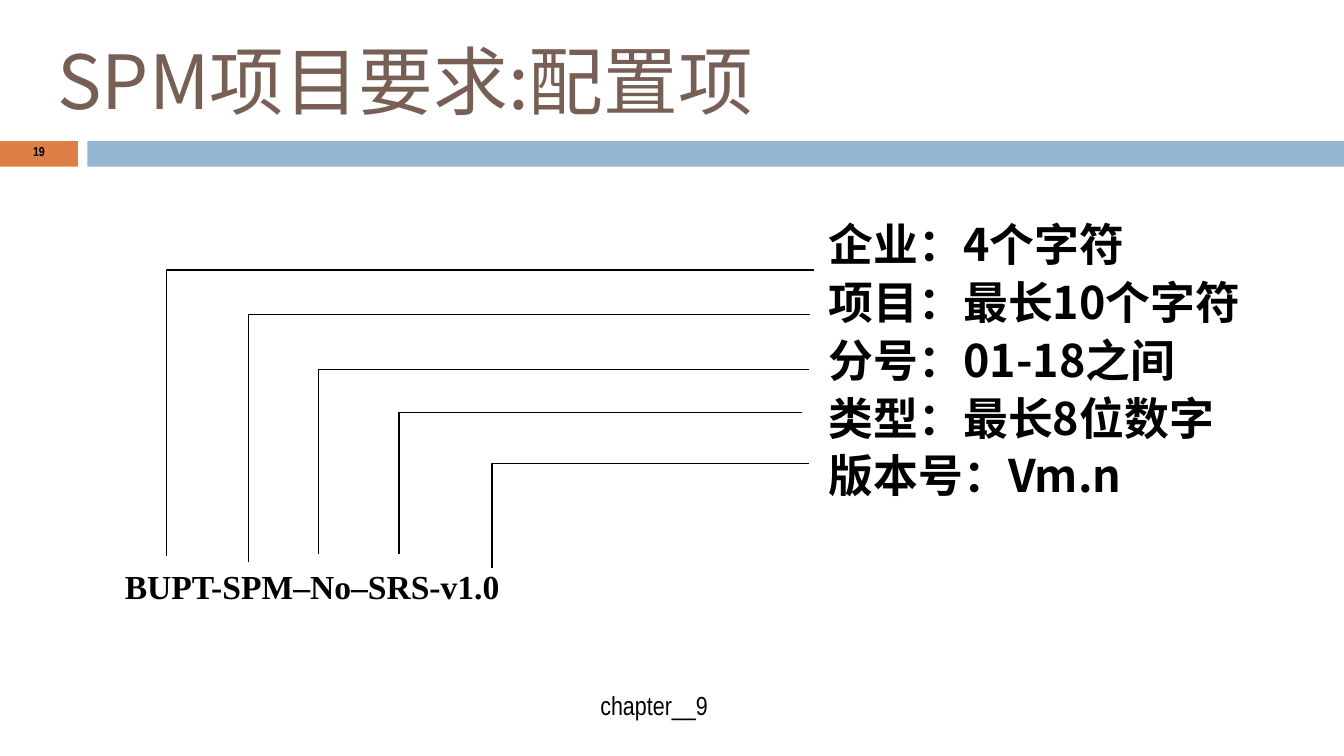
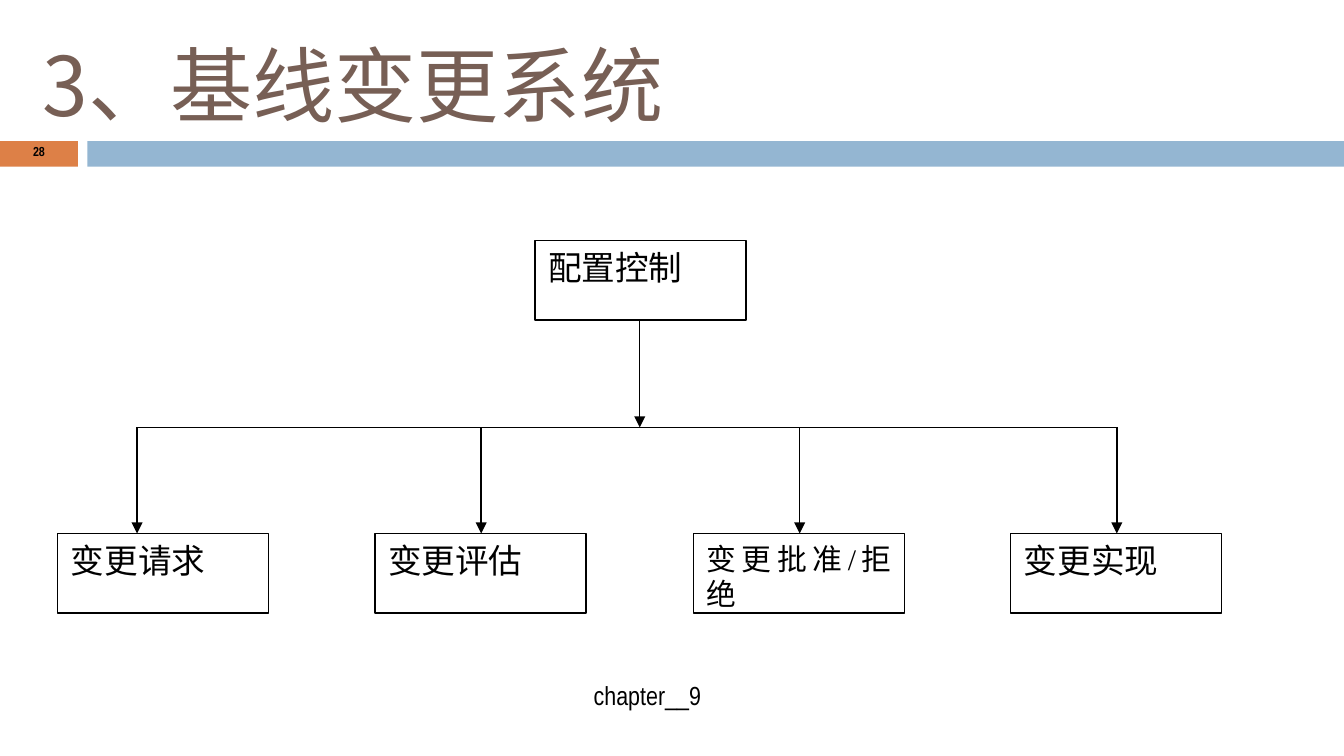
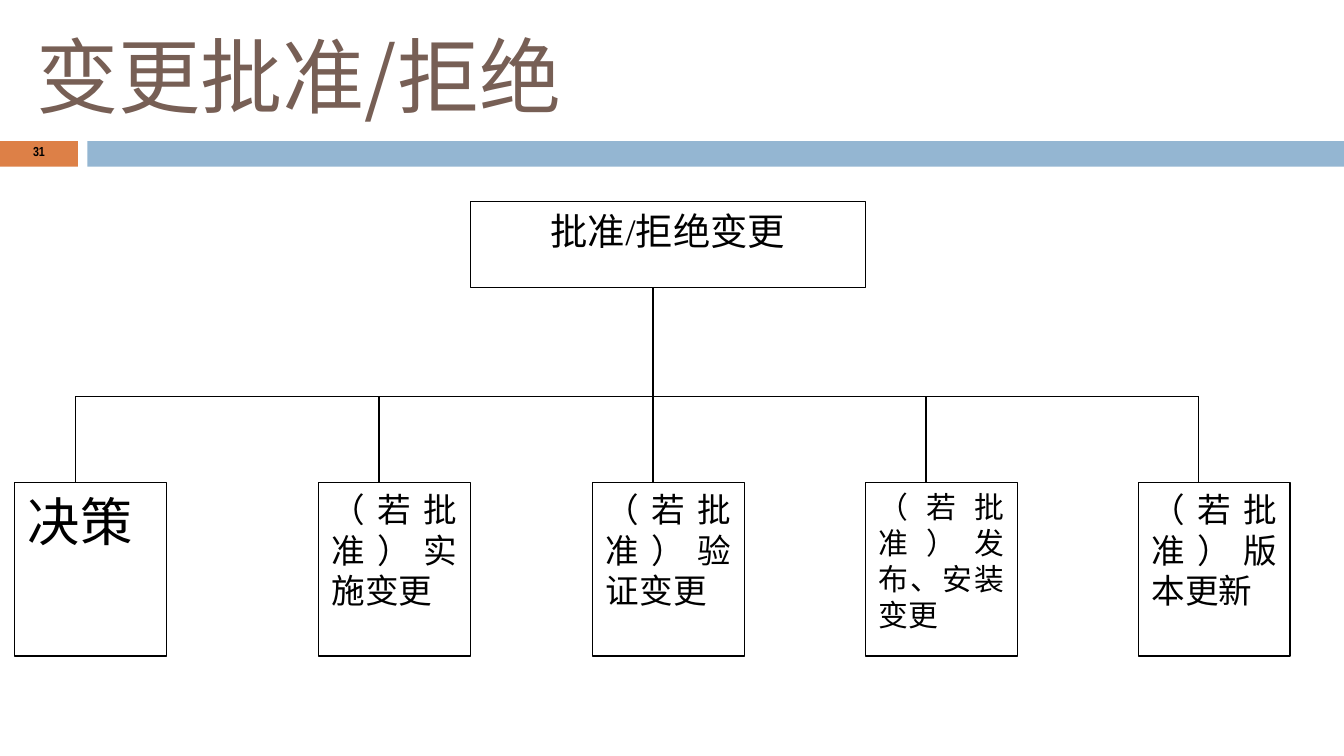
from dataclasses import dataclass

import pptx
import pptx.dml.color
import pptx.enum.shapes
import pptx.enum.text
import pptx.oxml
import pptx.oxml.ns
import pptx.util

Inches = pptx.util.Inches
Pt = pptx.util.Pt
ALIGN = pptx.enum.text.PP_ALIGN
ANCHOR = pptx.enum.text.MSO_ANCHOR

BLACK, WHITE = "000000", "FFFFFF"
ORANGE, BLUE, BROWN = "DD8047", "94B6D2", "775F55"
SANS, SERIF, NARROW = "Noto Sans CJK SC", "Times New Roman", "Arial Narrow"
LINE_WIDTH = 0.75


@dataclass
class Box:
    left: float
    top: float
    width: float
    height: float


@dataclass
class Style:
    font: str
    size: float
    color: str = BLACK
    bold: bool = False
    align: ALIGN = ALIGN.JUSTIFY
    anchor: ANCHOR = ANCHOR.TOP
    line_spacing: float = 1.0
    space_after: float = 0


@dataclass
class Branch:
    left: float
    drop: float
    text: str
    size: float = 18


@dataclass
class Tree:
    root: Box
    root_text: str
    root_style: Style
    trunk: float
    trunk_end: float
    rail: float
    leaf_top: float
    leaf_width: float
    leaf_height: float
    branches: list[Branch]
    arrows: bool


@dataclass
class Bracket:
    """A line that rises from a name part and turns right to its rule."""
    left: float
    bottom: float
    top: float
    right: float


FOOTER = Style(NARROW, 14, align=ALIGN.CENTER, anchor=ANCHOR.MIDDLE)
PAGE_NUMBER = Style(NARROW, 7, bold=True, align=ALIGN.CENTER,
                    anchor=ANCHOR.MIDDLE, line_spacing=0.8)
NAME = Style(SERIF, 18, bold=True)
RULES = Style(SANS, 24, bold=True, line_spacing=1.04, space_after=1)

NAME_RULES = ["企业：4个字符", "项目：最长10个字符", "分号：01-18之间",
              "类型：最长8位数字", "版本号：Vm.n"]
BRACKETS = [
    Bracket(1.24, 4.14, 2.01, 6.06),
    Bracket(1.85, 4.18, 2.34, 6.03),
    Bracket(2.97, 4.12, 3.07, 5.97),
    Bracket(3.66, 4.23, 3.45, 6.02),
    Bracket(2.37, 4.12, 2.75, 6.02),
]
CHANGE_SYSTEM = Tree(
    Box(3.98, 1.79, 1.57, 0.59), "配置控制", Style(SERIF, 18),
    trunk=4.76, trunk_end=3.18, rail=3.18,
    leaf_top=3.97, leaf_width=1.57, leaf_height=0.59,
    branches=[
        Branch(0.43, 1.02, "变更请求"),
        Branch(2.79, 3.58, "变更评估"),
        Branch(5.16, 5.95, "变更批准/拒绝", 16),
        Branch(7.52, 8.31, "变更实现"),
    ],
    arrows=True,
)
APPROVAL = Tree(
    Box(3.5, 1.5, 2.94, 0.64), "批准/拒绝变更", Style(SERIF, 20, align=ALIGN.CENTER),
    trunk=4.86, trunk_end=3.59, rail=2.95,
    leaf_top=3.59, leaf_width=1.13, leaf_height=1.29,
    branches=[
        Branch(0.11, 0.56, "决策", 28),
        Branch(2.37, 2.82, "（若批准）实施变更"),
        Branch(4.41, 4.86, "（若批准）验证变更"),
        Branch(6.44, 6.89, "（若批准）发布、安装变更", 16),
        Branch(8.47, 8.92, "（若批准）版本更新"),
    ],
    arrows=False,
)


def rgb(color: str):
    return pptx.dml.color.RGBColor.from_string(color)


def set_attributes(target, values: dict) -> None:
    for name, value in values.items():
        setattr(target, name, value)


def set_line(line) -> None:
    line.color.rgb = rgb(BLACK)
    line.width = Pt(LINE_WIDTH)


def write(sp, lines: list[str], style: Style) -> None:
    """Fill a shape with one paragraph a line, without hanging punctuation."""
    tf = sp.text_frame
    set_attributes(tf, {
        "word_wrap": True, "vertical_anchor": style.anchor,
        "margin_left": Inches(0.1), "margin_right": Inches(0.1),
        "margin_top": Inches(0.05), "margin_bottom": Inches(0.05),
    })
    for i, line in enumerate(lines):
        p = tf.add_paragraph() if i else tf.paragraphs[0]
        set_attributes(p, {
            "alignment": style.align, "line_spacing": style.line_spacing,
            "space_after": Pt(style.space_after),
        })
        p._p.get_or_add_pPr().set("hangingPunct", "0")
        r = p.add_run()
        r.text = line
        set_attributes(r.font, {
            "name": style.font, "size": Pt(style.size), "bold": style.bold,
        })
        r.font.color.rgb = rgb(style.color)


def add_text(s, box: Box, text: str, style: Style) -> None:
    sp = s.shapes.add_textbox(Inches(box.left), Inches(box.top),
                              Inches(box.width), Inches(box.height))
    write(sp, [text], style)


def add_rect(s, box: Box, fill: str = WHITE, outlined: bool = False):
    sp = s.shapes.add_shape(
        pptx.enum.shapes.MSO_SHAPE.RECTANGLE, Inches(box.left), Inches(box.top),
        Inches(box.width), Inches(box.height))
    sp.shadow.inherit = False
    sp.fill.solid()
    sp.fill.fore_color.rgb = rgb(fill)
    if outlined:
        set_line(sp.line)
    else:
        sp.line.fill.background()
    return sp


def add_line(s, x1: float, y1: float, x2: float, y2: float,
             arrow: bool = False) -> None:
    cxn = s.shapes.add_connector(
        pptx.enum.shapes.MSO_CONNECTOR.STRAIGHT,
        Inches(x1), Inches(y1), Inches(x2), Inches(y2))
    set_line(cxn.line)
    if arrow:
        tail = pptx.oxml.parse_xml(
            f'<a:tailEnd {pptx.oxml.ns.nsdecls("a")} type="triangle"/>')
        cxn.line._get_or_add_ln().append(tail)
    effects = pptx.oxml.parse_xml(f'<a:effectLst {pptx.oxml.ns.nsdecls("a")}/>')
    cxn._element.spPr.append(effects)


def add_bracket(s, bracket: Bracket) -> None:
    builder = s.shapes.build_freeform(Inches(bracket.left), Inches(bracket.bottom))
    builder.add_line_segments(
        [(Inches(bracket.left), Inches(bracket.top)),
         (Inches(bracket.right), Inches(bracket.top))], close=False)
    sp = builder.convert_to_shape()
    sp.shadow.inherit = False
    sp.fill.background()
    set_line(sp.line)


def add_tree(s, tree: Tree) -> None:
    """Draw a root box, a rail below it and one box per branch."""
    write(add_rect(s, tree.root, outlined=True), [tree.root_text], tree.root_style)
    for branch in tree.branches:
        leaf = Box(branch.left, tree.leaf_top, tree.leaf_width, tree.leaf_height)
        write(add_rect(s, leaf, outlined=True), [branch.text],
              Style(SERIF, branch.size))
    drops = [branch.drop for branch in tree.branches]
    add_line(s, drops[0], tree.rail, drops[-1], tree.rail)
    add_line(s, tree.trunk, tree.root.top + tree.root.height,
             tree.trunk, tree.trunk_end, tree.arrows)
    for x in drops:
        if x != tree.trunk:
            add_line(s, x, tree.rail, x, tree.leaf_top, tree.arrows)


def add_slide(prs, number: int, title: str, title_box: Box, title_size: float):
    """Add a blank slide with the bands, title and page number."""
    s = prs.slides.add_slide(prs.slide_layouts[6])
    add_rect(s, Box(0, 1.05, 0.58, 0.19), ORANGE)
    add_rect(s, Box(0.65, 1.05, 9.35, 0.19), BLUE)
    add_text(s, title_box, title, Style(SANS, title_size, BROWN, align=ALIGN.LEFT))
    add_text(s, Box(0, 1.04, 0.58, 0.2), str(number), PAGE_NUMBER)
    return s


def add_footer(s, left: float, top: float) -> None:
    add_text(s, Box(left, top, 5.93, 0.3), " chapter__9", FOOTER)


def main() -> None:
    prs = pptx.Presentation()
    prs.slide_width = Inches(10)
    prs.slide_height = Inches(10 * 9 / 16)

    s = add_slide(prs, 19, "SPM项目要求:配置项", Box(0.33, 0.21, 8.92, 0.81), 40)
    add_footer(s, 1.88, 5.1)
    write(add_rect(s, Box(0.83, 4.16, 5.02, 0.6)), ["BUPT-SPM–No–SRS-v1.0"], NAME)
    write(add_rect(s, Box(6.07, 1.55, 3.47, 2.69)), NAME_RULES, RULES)
    for bracket in BRACKETS:
        add_bracket(s, bracket)

    s = add_slide(prs, 28, "3、基线变更系统", Box(0.22, 0.21, 8.5, 0.94), 44)
    add_footer(s, 1.83, 5.02)
    add_tree(s, CHANGE_SYSTEM)

    s = add_slide(prs, 31, "变更批准/拒绝", Box(0.17, 0.14, 8.5, 0.94), 44)
    add_tree(s, APPROVAL)

    prs.save("out.pptx")


if __name__ == "__main__":
    main()
